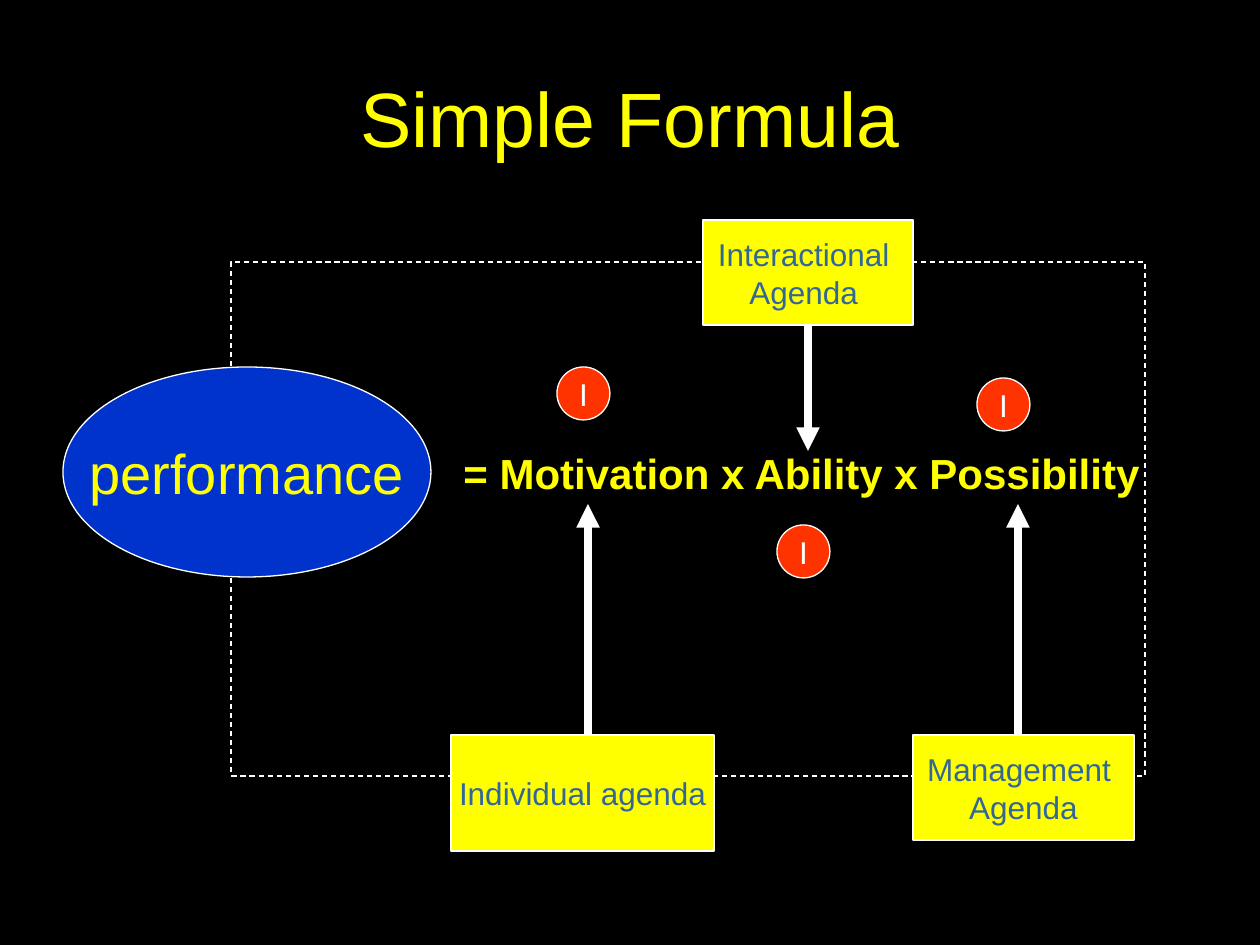
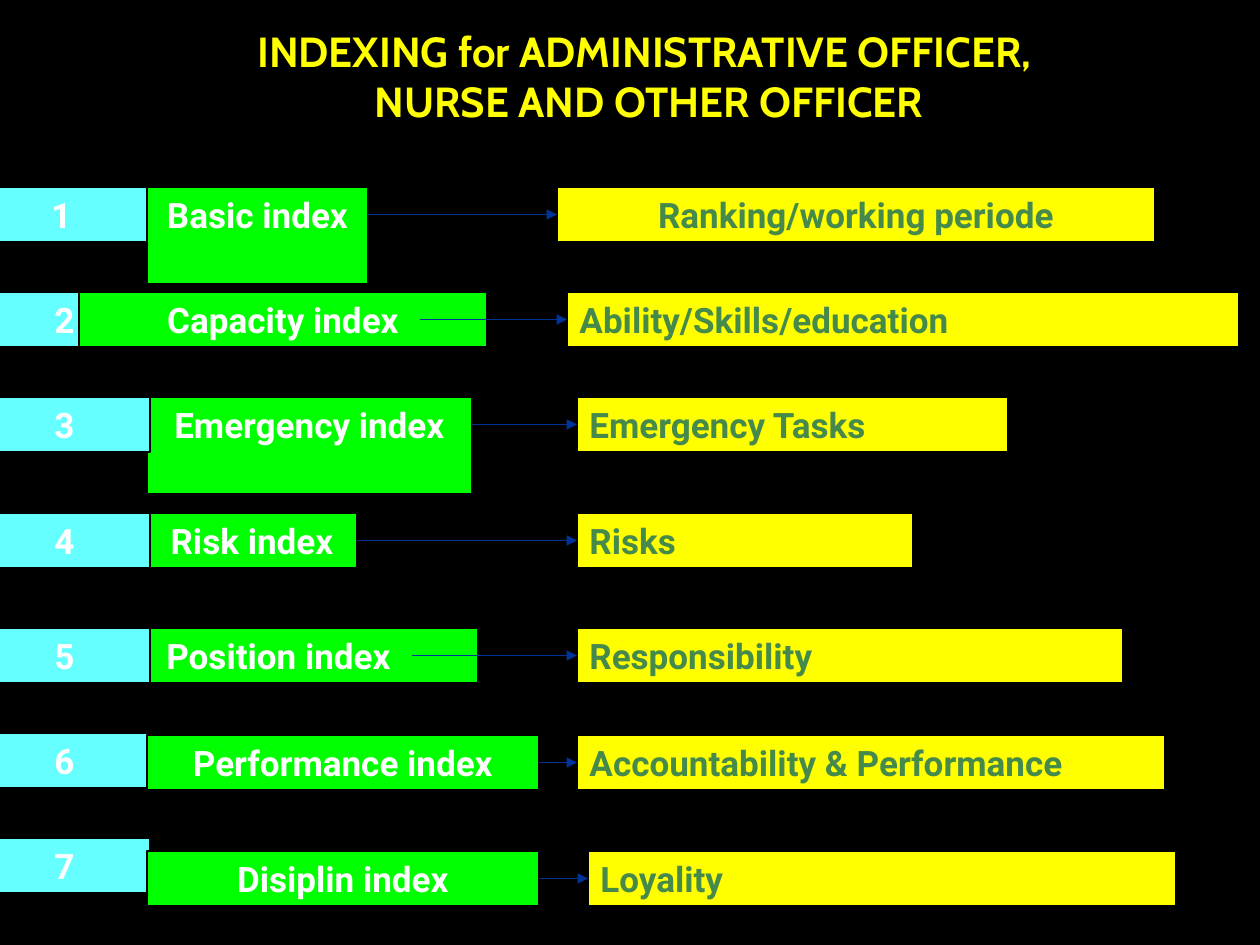
import pptx
import pptx.util
import pptx.dml.color
import pptx.enum.dml
import pptx.enum.shapes
import pptx.enum.text
import pptx.oxml
from pptx.oxml.ns import qn

EMU_PER_PX = 914400 / 126
SLIDE_WIDTH, SLIDE_HEIGHT = 1260, 945

COLORS = {
    "background": "000000", "white": "FFFFFF", "yellow": "FFFF00",
    "blue": "0033CC", "agenda_text": "336699", "badge": "FF3300",
    "number": "66FFFF", "label": "00FF00", "detail_text": "468A4B",
    "arrow": "003399",
}

# Text formats: font, size, bold, colour
TEXT = {
    "title": {"name": "Arial", "size": 44, "color": "yellow"},
    "formula": {"name": "Arial", "size": 24, "bold": True, "color": "yellow"},
    "result": {"name": "Arial", "size": 32, "color": "yellow"},
    "agenda": {"name": "Arial", "size": 18, "color": "agenda_text"},
    "badge": {"name": "Arial", "size": 18, "color": "white"},
    "heading": {"name": "Cabin", "size": 24, "bold": True, "color": "yellow"},
    "index": {"name": "Roboto", "size": 20, "bold": True, "color": "white"},
    "detail": {"name": "Roboto", "size": 20, "bold": True, "color": "detail_text"},
}

SHAPES = pptx.enum.shapes.MSO_SHAPE
ALIGN = pptx.enum.text.PP_ALIGN
ANCHOR = pptx.enum.text.MSO_ANCHOR
TOP, LEFT, BOTTOM, RIGHT = range(4)

# Rows: top, label (top, left, width, height), detail (left, width), arrow start
BAR_HEIGHT = 55
INDEX_ROWS = [
    ("Basic index", "Ranking/working periode", 0, (0, 147, 221, 97), (557, 598), 368),
    ("Capacity index", "Ability/Skills/education", 105, (105, 79, 408, 55), (567, 672), 420),
    ("Emergency index", "Emergency Tasks", 210, (210, 147, 325, 97), (577, 431), 472),
    ("Risk index", "Risks", 326, (326, 147, 210, 55), (577, 336), 357),
    ("Position index", "Responsibility", 441, (441, 79, 399, 55), (577, 546), 412),
    ("Performance index", "Accountability & Performance", 546, (548, 147, 392, 55), (577, 588), 539),
    ("Disiplin index", "Loyality", 651, (664, 147, 392, 55), (588, 588), 539),
]
NUMBERS_IN_FRONT = (3, 4, 5)


def px(length):
    return pptx.util.Emu(round(length * EMU_PER_PX))


def rgb(name):
    return pptx.dml.color.RGBColor.from_string(COLORS[name])


def write(shape, text, style, align=ALIGN.CENTER, anchor=ANCHOR.TOP, wrap=True):
    frame = shape.text_frame
    frame.word_wrap = wrap
    frame.vertical_anchor = anchor
    formats = dict(TEXT[style])
    color = formats.pop("color")
    formats["size"] = pptx.util.Pt(formats["size"])
    for position, line in enumerate(text.split("\n")):
        paragraph = frame.add_paragraph() if position else frame.paragraphs[0]
        paragraph.alignment = align
        run = paragraph.add_run()
        run.text = line
        for attribute, value in formats.items():
            setattr(run.font, attribute, value)
        run.font.color.rgb = rgb(color)


def add_text(slide, box, text, style, **layout):
    write(slide.shapes.add_textbox(*map(px, box)), text, style, **layout)


def add_shape(slide, kind, box, fill, line):
    shape = slide.shapes.add_shape(kind, *map(px, box))
    shape.shadow.inherit = False
    if fill:
        shape.fill.solid()
        shape.fill.fore_color.rgb = rgb(fill)
    else:
        shape.fill.background()
    shape.line.color.rgb = rgb(line)
    shape.line.width = pptx.util.Pt(0.75)
    return shape


def add_arrow(slide, start, end, color, width):
    arrow = slide.shapes.add_connector(
        pptx.enum.shapes.MSO_CONNECTOR.STRAIGHT, *map(px, start + end))
    arrow.line.color.rgb = rgb(color)
    arrow.line.width = pptx.util.Pt(width)
    line = arrow.line._get_or_add_ln()
    line.append(pptx.oxml.xmlchemy.OxmlElement("a:tailEnd"))
    line.find(qn("a:tailEnd")).set("type", "triangle")
    arrow._element.spPr.append(pptx.oxml.xmlchemy.OxmlElement("a:effectLst"))
    return arrow


def add_slide(presentation):
    slide = presentation.slides.add_slide(presentation.slide_layouts[6])
    slide.background.fill.solid()
    slide.background.fill.fore_color.rgb = rgb("background")
    return slide


def add_formula_diagram(slide, left, top):
    def place(x, y, *size):
        return (left + x, top + y, *size)

    # Dashed feedback loop
    loop = add_shape(slide, SHAPES.RECTANGLE, place(168, 42, 914, 514), None, "white")
    loop.line.dash_style = pptx.enum.dml.MSO_LINE.DASH

    # Formula and its result
    add_text(slide, place(388, 221, 703, 63), "= Motivation x Ability x Possibility",
             "formula", align=ALIGN.LEFT)
    result = add_shape(slide, SHAPES.OVAL, place(0, 147, 368, 210), "blue", "white")
    write(result, "performance", "result", anchor=ANCHOR.MIDDLE, wrap=False)

    # Agendas
    agendas = []
    for text, box in [
        ("Individual agenda", (388, 515, 263, 116)),
        ("Interactional \nAgenda ", (640, 0, 210, 105)),
        ("Management \nAgenda", (850, 515, 221, 105)),
    ]:
        agenda = add_shape(slide, SHAPES.RECTANGLE, place(*box), "yellow", "white")
        write(agenda, text, "agenda", anchor=ANCHOR.MIDDLE, wrap=False)
        agendas.append(agenda)

    # Arrows from the agendas to the factors
    for x in (525, 955):
        add_arrow(slide, place(x, 515), place(x, 284), "white", 4.5)
    arrow = add_arrow(slide, place(745, 105), place(745, 231), "white", 4.5)
    arrow.begin_connect(agendas[1], BOTTOM)

    # Index badges
    for x, y in [(494, 147), (914, 158), (714, 305)]:
        badge = add_shape(slide, SHAPES.OVAL, place(x, y, 53, 53), "badge", "white")
        write(badge, "I", "badge", anchor=ANCHOR.MIDDLE, wrap=False)


def add_index_row(slide, left, top, number, row):
    label_text, detail_text, row_top, label_box, detail_span, arrow_left = row
    label_top, label_left, label_width, label_height = label_box
    detail_left, detail_width = detail_span
    number_left = -24 if number == 1 else -21

    def add_number():
        box = (left + number_left, top + row_top, 171, BAR_HEIGHT)
        shape = add_shape(slide, SHAPES.RECTANGLE, box, "number", "background")
        write(shape, str(number), "index", wrap=False)

    def add_label():
        box = (left + label_left, top + label_top, label_width, label_height)
        shape = add_shape(slide, SHAPES.RECTANGLE, box, "label", "background")
        write(shape, label_text, "index", wrap=False)
        return shape

    # Number and label overlap; their order differs by row
    if number in NUMBERS_IN_FRONT:
        label = add_label()
        add_number()
    else:
        add_number()
        label = add_label()

    # Detail bar
    box = (left + detail_left, top + label_top, detail_width, BAR_HEIGHT)
    detail = add_shape(slide, SHAPES.RECTANGLE, box, "yellow", "background")
    write(detail, detail_text, "detail", align=ALIGN.CENTER if number == 1 else ALIGN.LEFT)

    # Arrow from label to detail
    middle = top + label_top + BAR_HEIGHT / 2
    arrow = add_arrow(slide, (left + arrow_left, middle), (left + detail_left, middle),
                      "arrow", 0.75)
    arrow.end_connect(detail, LEFT)
    if label_height == BAR_HEIGHT and arrow_left == label_left + label_width:
        arrow.begin_connect(label, RIGHT)


def build_formula_slide(presentation):
    slide = add_slide(presentation)
    add_text(slide, (63, 38, 1134, 158), "Simple Formula", "title", anchor=ANCHOR.MIDDLE)
    add_formula_diagram(slide, 63, 220)


def build_index_slide(presentation):
    slide = add_slide(presentation)
    add_text(slide, (140, 19, 1018, 113),
             "INDEXING for ADMINISTRATIVE OFFICER, \nNURSE AND OTHER OFFICER",
             "heading", wrap=False)
    for number, row in enumerate(INDEX_ROWS, start=1):
        add_index_row(slide, 0, 187, number, row)


def main():
    presentation = pptx.Presentation()
    presentation.slide_width = px(SLIDE_WIDTH)
    presentation.slide_height = px(SLIDE_HEIGHT)
    build_formula_slide(presentation)
    build_index_slide(presentation)
    presentation.save("out.pptx")


if __name__ == "__main__":
    main()
